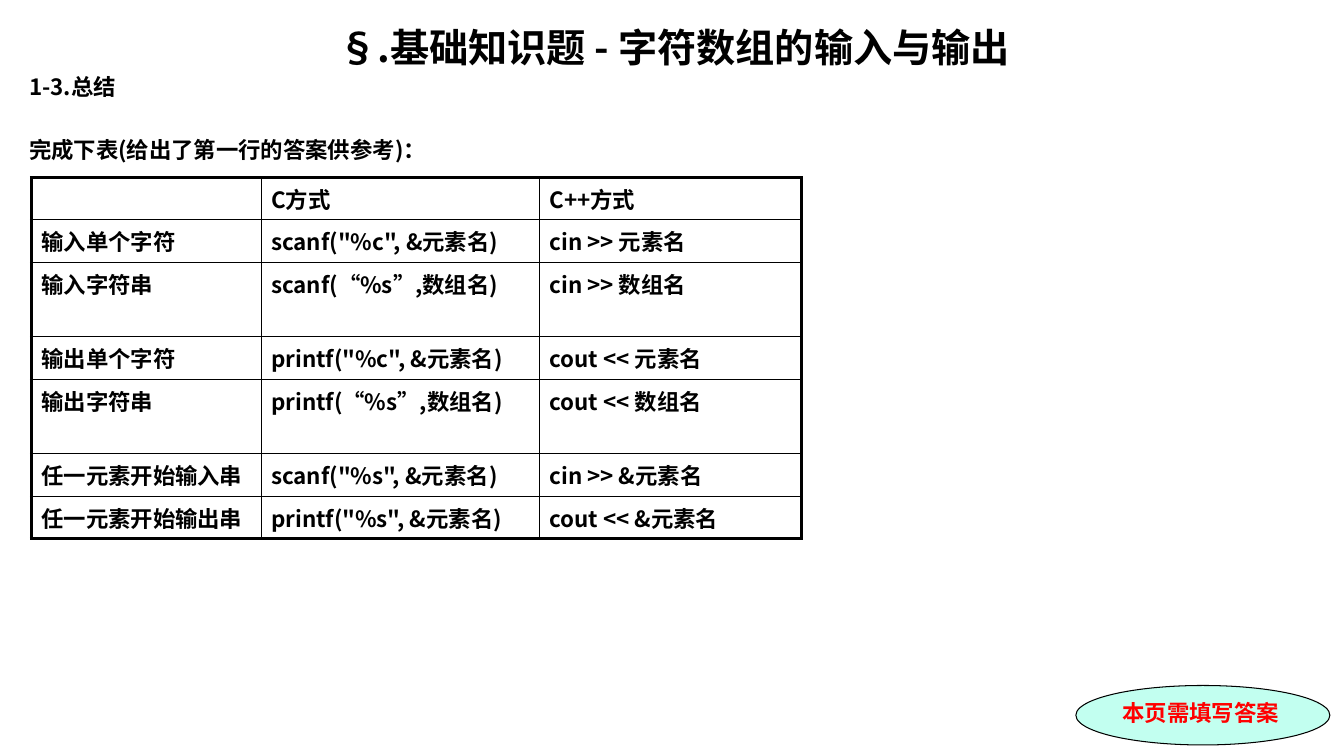
from dataclasses import dataclass

from lxml import etree
from pptx import Presentation
from pptx.dml.color import RGBColor
from pptx.enum.shapes import MSO_SHAPE
from pptx.enum.text import MSO_ANCHOR, PP_ALIGN
from pptx.oxml.ns import qn
from pptx.util import Inches, Pt

CENTER, JUSTIFY, LEFT = PP_ALIGN.CENTER, PP_ALIGN.JUSTIFY, PP_ALIGN.LEFT
MIDDLE = MSO_ANCHOR.MIDDLE
ELLIPSE = MSO_SHAPE.OVAL


@dataclass(frozen=True)
class Theme:
    ink: str = "000000"
    paper: str = "FFFFFF"
    badge: str = "C2FFF0"
    alert: str = "FF0000"
    body_font: str = "Noto Sans CJK SC"
    badge_font: str = "Times New Roman"
    title_size: float = 28
    body_size: float = 16
    outer_rule: float = 2.25
    inner_rule: float = 1
    badge_rule: float = 0.75


@dataclass(frozen=True)
class Area:
    """Place and size in percent of the slide's width and height."""
    left: float
    top: float
    width: float
    height: float


@dataclass(frozen=True)
class Heading:
    text: str
    size: float
    align: PP_ALIGN
    space_before: float


THEME = Theme()
SLIDE_WIDTH, SLIDE_HEIGHT = Inches(13.33), Inches(7.5)

# Content
HEADINGS_AREA = Area(1.43, 2.4, 97.45, 94.53)
HEADINGS = [
    Heading("§.基础知识题 - 字符数组的输入与输出", THEME.title_size, CENTER, 0),
    Heading("1-3.总结", THEME.body_size, JUSTIFY, 2.3),
    Heading("完成下表(给出了第一行的答案供参考)：", THEME.body_size, JUSTIFY, 26),
]
SUMMARY = [
    ("", "C方式", "C++方式"),
    ("输入单个字符", 'scanf("%c", &元素名)', "cin >> 元素名"),
    ("输入字符串", "scanf(“%s”,数组名)", "cin >> 数组名"),
    ("输出单个字符", 'printf("%c", &元素名)', "cout << 元素名"),
    ("输出字符串", "printf(“%s”,数组名)", "cout << 数组名"),
    ("任一元素开始输入串", 'scanf("%s", &元素名)', "cin >> &元素名"),
    ("任一元素开始输出串", 'printf("%s", &元素名)', "cout << &元素名"),
]
SUMMARY_COLUMNS = [17.1, 20.71, 19.5]
ONE_LINE, TWO_LINES = 5.62, 9.85
SUMMARY_ROWS = [ONE_LINE, *[ONE_LINE, TWO_LINES] * 2, ONE_LINE, ONE_LINE]
SUMMARY_AREA = Area(2.33, 23.47, sum(SUMMARY_COLUMNS), sum(SUMMARY_ROWS))
REMINDER = "本页需填写答案"
REMINDER_AREA = Area(80.05, 90.67, 18.9, 7.87)


def across(percent: float) -> int:
    return round(SLIDE_WIDTH * percent / 100)


def down(percent: float) -> int:
    return round(SLIDE_HEIGHT * percent / 100)


def place(area: Area) -> tuple:
    return across(area.left), down(area.top), across(area.width), down(area.height)


def apply(target, formats: dict) -> None:
    for attribute, value in formats.items():
        setattr(target, attribute, value)


def write(paragraph, text: str, size: float, align: PP_ALIGN = LEFT,
          color: str = THEME.ink, font: str = THEME.body_font) -> None:
    paragraph.alignment = align
    run = paragraph.add_run()
    run.text = text
    apply(run.font, {"size": Pt(size), "bold": True, "name": font})
    run.font.color.rgb = RGBColor.from_string(color)
    east_asian = etree.SubElement(run.font._element, qn("a:ea"))
    east_asian.set("typeface", THEME.body_font)


def rule_cell(cell, widths: dict) -> None:
    properties = cell._tc.get_or_add_tcPr()
    for side, width in widths.items():
        line = etree.SubElement(properties, qn(f"a:ln{side}"), w=str(Pt(width)))
        fill = etree.SubElement(line, qn("a:solidFill"))
        etree.SubElement(fill, qn("a:srgbClr"), val=THEME.ink)


def add_headings(slide) -> None:
    frame = slide.shapes.add_textbox(*place(HEADINGS_AREA)).text_frame
    frame.word_wrap = True
    for index, heading in enumerate(HEADINGS):
        paragraph = frame.add_paragraph() if index else frame.paragraphs[0]
        paragraph.space_before = Pt(heading.space_before)
        write(paragraph, heading.text, heading.size, heading.align)


def add_summary(slide) -> None:
    last_row, last_column = len(SUMMARY) - 1, len(SUMMARY_COLUMNS) - 1
    table = slide.shapes.add_table(
        len(SUMMARY), len(SUMMARY_COLUMNS), *place(SUMMARY_AREA)).table
    apply(table, {"first_row": False, "horz_banding": False})
    for column, width in zip(table.columns, SUMMARY_COLUMNS):
        column.width = across(width)
    for row, height in zip(table.rows, SUMMARY_ROWS):
        row.height = down(height)
    for r, texts in enumerate(SUMMARY):
        for c, text in enumerate(texts):
            cell = table.cell(r, c)
            # Heavy frame outside, thin rules inside
            on_edge = {"L": c == 0, "R": c == last_column,
                       "T": r == 0, "B": r == last_row}
            rule_cell(cell, {side: THEME.outer_rule if edge else THEME.inner_rule
                             for side, edge in on_edge.items()})
            cell.fill.solid()
            cell.fill.fore_color.rgb = RGBColor.from_string(THEME.paper)
            if text:
                write(cell.text_frame.paragraphs[0], text, THEME.body_size)


def add_reminder(slide) -> None:
    badge = slide.shapes.add_shape(ELLIPSE, *place(REMINDER_AREA))
    badge.shadow.inherit = False
    badge.fill.solid()
    badge.fill.fore_color.rgb = RGBColor.from_string(THEME.badge)
    badge.line.color.rgb = RGBColor.from_string(THEME.ink)
    badge.line.width = Pt(THEME.badge_rule)
    apply(badge.text_frame, {"word_wrap": False, "vertical_anchor": MIDDLE,
                             "margin_right": across(1.05),
                             "margin_bottom": down(1.4)})
    write(badge.text_frame.paragraphs[0], REMINDER, THEME.body_size, CENTER,
          THEME.alert, THEME.badge_font)


def main() -> None:
    deck = Presentation()
    apply(deck, {"slide_width": SLIDE_WIDTH, "slide_height": SLIDE_HEIGHT})
    slide = deck.slides.add_slide(deck.slide_layouts[6])
    add_headings(slide)
    add_summary(slide)
    add_reminder(slide)
    deck.save("out.pptx")


if __name__ == "__main__":
    main()
